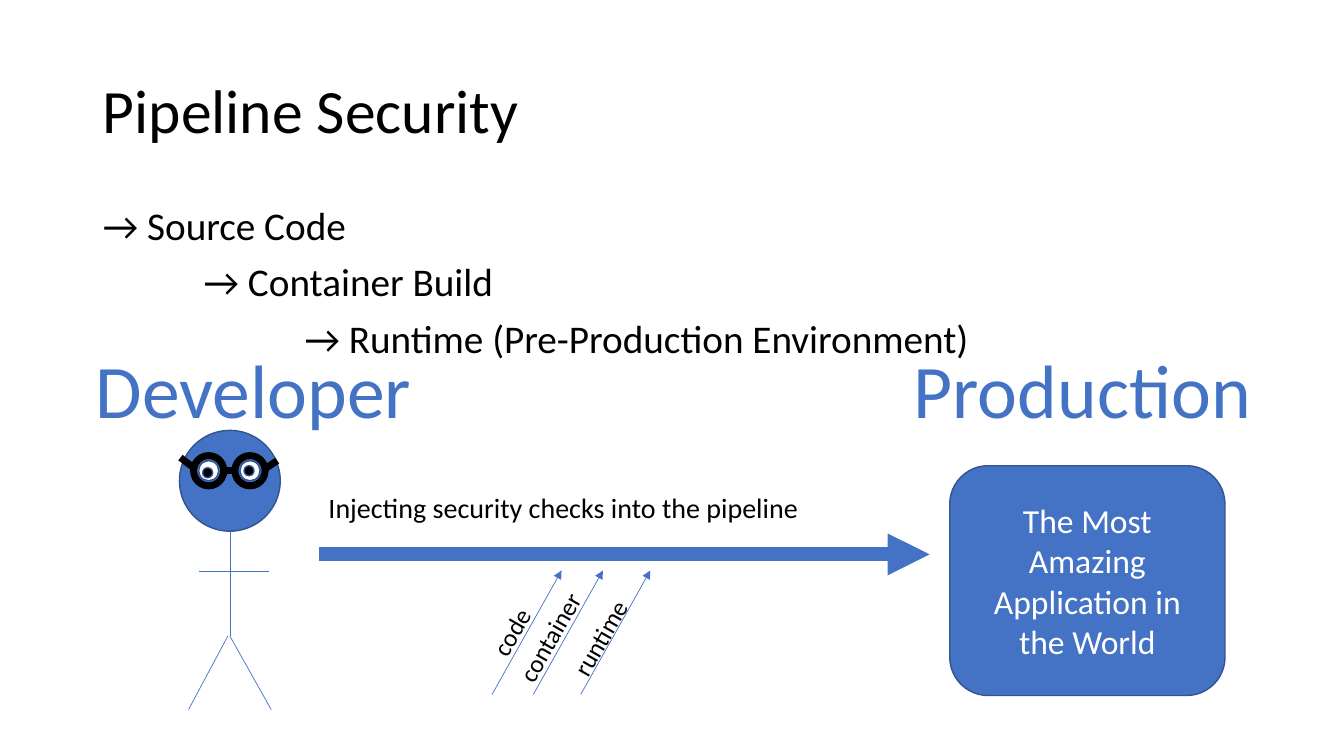
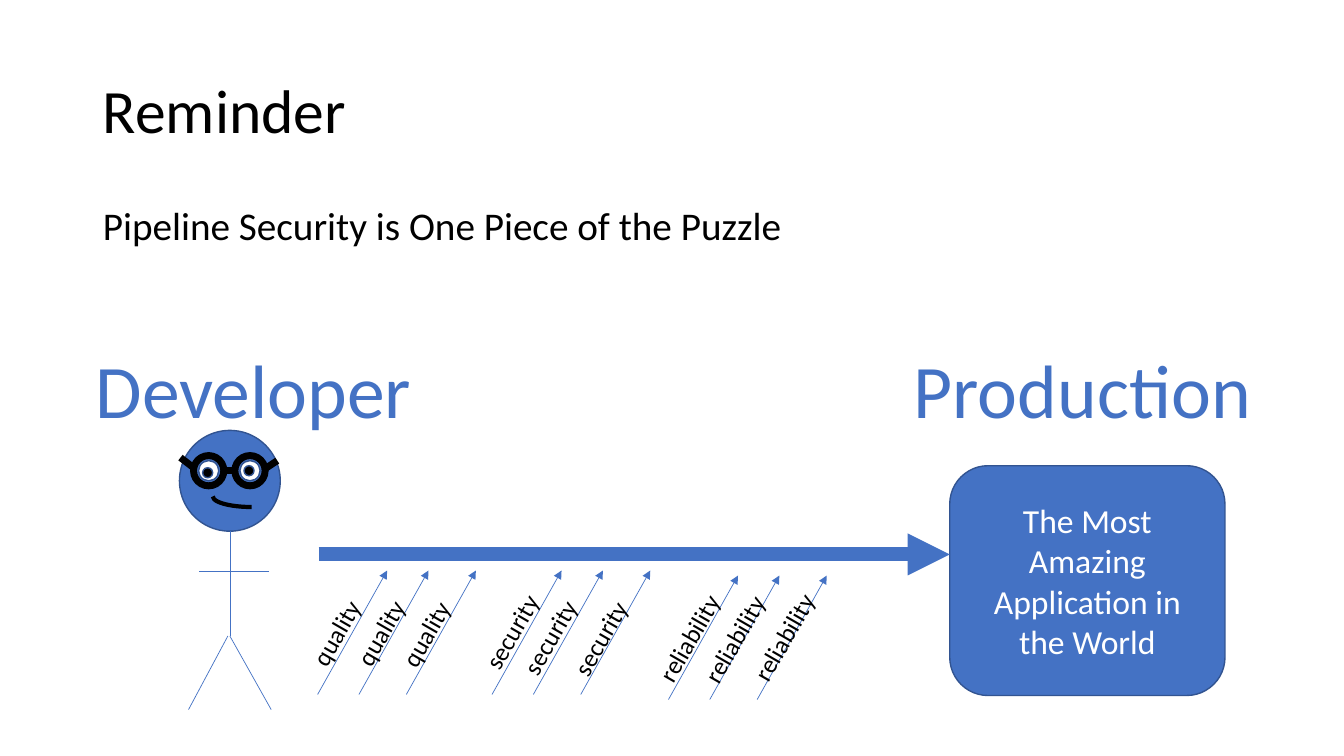
from lxml import etree
from pptx import Presentation
from pptx.dml.color import RGBColor
from pptx.enum.shapes import MSO_CONNECTOR as Connector, MSO_SHAPE as Preset
from pptx.enum.text import MSO_ANCHOR as Anchor, MSO_AUTO_SIZE as AutoSize, PP_ALIGN as Align
from pptx.oxml.ns import qn
from pptx.util import Inches, Pt

BLUE = RGBColor(0x44, 0x72, 0xC4)
OUTLINE = RGBColor(0x32, 0x54, 0x91)
BLACK = RGBColor(0, 0, 0)
WHITE = RGBColor(0xFF, 0xFF, 0xFF)
FONT = "Calibri"

TITLE_BOX = (0.92, 0.4, 11.5, 1.45)
BODY_BOX = (0.92, 2, 11.5, 4.76)
DEVELOPER_LABEL = (0.83, 3.35, 3.37, 1.01)
PRODUCTION_LABEL = (8.94, 3.35, 3.59, 1.01)
HEAD_BOX = (1.78, 4.27, 1, 1)
APPLICATION_BOX = (9.42, 4.62, 2.73, 2.28)
CAPTION_BOX = (3.16, 4.82, 5.54, 0.44)
PIPE_LEFT, PIPE_TOP = 3.16, 5.5
CHECK_OFFSETS = (0, 0.41, 0.88)
CHECK_RUN, CHECK_RISE = 0.69, 1.23
CHECK_LABEL_SIZE = (1.2, 0.4)


def place(item, box):
    item.left, item.top, item.width, item.height = map(Inches, box)


def style_text(frame, size, color, align=Align.LEFT):
    for para in frame.paragraphs:
        para.alignment = align
        for span in para.runs:
            span.font.name = FONT
            span.font.size = Pt(size)
            span.font.color.rgb = color


def add_label(shapes, box, text, size, color, align=Align.CENTER, wrap=False):
    label = shapes.add_textbox(*map(Inches, box))
    label.text_frame.word_wrap = wrap
    label.text_frame.text = text
    style_text(label.text_frame, size, color, align)
    return label


def add_preset(shapes, preset, box, fill, line, weight):
    shape = shapes.add_shape(preset, *map(Inches, box))
    shape.shadow.inherit = False
    if fill is None:
        shape.fill.background()
    else:
        shape.fill.solid()
        shape.fill.fore_color.rgb = fill
    shape.line.color.rgb = line
    shape.line.width = Pt(weight)
    return shape


def add_line(shapes, start, end, color=BLUE, weight=0.5, arrow=False):
    line = shapes.add_connector(Connector.STRAIGHT, *map(Inches, (*start, *end)))
    line.line.color.rgb = color
    line.line.width = Pt(weight)
    if arrow:
        etree.SubElement(line.line._get_or_add_ln(), qn("a:tailEnd"), type="triangle")
    etree.SubElement(line._element.spPr, qn("a:effectLst"))


def add_heading(page, title, items):
    heading, body = page.shapes.title, page.placeholders[1]
    heading.text_frame.text = title
    heading.text_frame.vertical_anchor = Anchor.MIDDLE
    heading.text_frame.paragraphs[0].line_spacing = 0.9
    style_text(heading.text_frame, 44, BLACK)

    frame = body.text_frame
    frame.text = "\n".join(items)
    frame.auto_size = AutoSize.NONE
    for step, para in enumerate(frame.paragraphs):
        properties = para._p.get_or_add_pPr()
        properties.set("marL", str(Inches(step)))
        properties.set("indent", "0")
        etree.SubElement(properties, qn("a:buNone"))
        para.line_spacing = 0.9
        para.space_before = Pt(10 if step else 0)
    style_text(frame, 28, BLACK)


def add_developer(page, box, smiling):
    left, top, unit, _ = box
    shapes = page.shapes.add_group_shape().shapes

    def spot(x, y):
        return left + x * unit, top + y * unit

    def part(x, y, width, height):
        return (*spot(x, y), width * unit, height * unit)

    add_preset(shapes, Preset.OVAL, box, BLUE, OUTLINE, 1)
    limbs = (
        ((0.5, 1), (0.5, 2.04)),
        ((0.5, 2.04), (0.91, 2.77)),
        ((0.48, 2.04), (0.09, 2.77)),
        ((0.89, 1.4), (0.19, 1.4)),
    )
    for start, end in limbs:
        add_line(shapes, spot(*start), spot(*end))
    for lens, pupil_x, pupil_y in ((0.14, 0.23, 0.37), (0.55, 0.64, 0.35)):
        add_preset(shapes, Preset.OVAL, part(lens + 0.05, 0.3, 0.2, 0.2), WHITE, OUTLINE, 1)
        add_preset(shapes, Preset.OVAL, part(lens, 0.25, 0.3, 0.3), None, BLACK, 5)
        add_preset(shapes, Preset.OVAL, part(pupil_x, pupil_y, 0.1, 0.1), BLACK, OUTLINE, 1)
    frames = (
        ((0.44, 0.4), (0.55, 0.4)),
        ((0.85, 0.38), (0.97, 0.3)),
        ((0.01, 0.27), (0.14, 0.37)),
    )
    for start, end in frames:
        add_line(shapes, spot(*start), spot(*end), BLACK, 5)
    if smiling:
        mouth = add_preset(shapes, Preset.ARC, part(0.33, 0.55, 0.77, 0.21), None, BLACK, 3)
        mouth.rotation = 180


def add_application(page, box):
    application = add_preset(page.shapes, Preset.ROUNDED_RECTANGLE, box, BLUE, OUTLINE, 1)
    frame = application.text_frame
    frame.word_wrap = True
    frame.vertical_anchor = Anchor.MIDDLE
    frame.text = "The Most Amazing Application in the World"
    style_text(frame, 24, WHITE, Align.CENTER)


def add_checks(page, left, bottom, labels, centers):
    width, height = CHECK_LABEL_SIZE
    for offset, text, (shift, lift) in zip(CHECK_OFFSETS, labels, centers):
        foot = left + offset
        add_line(page.shapes, (foot, bottom), (foot + CHECK_RUN, bottom - CHECK_RISE), arrow=True)
        box = (foot + shift - width / 2, bottom - lift - height / 2, width, height)
        add_label(page.shapes, box, text, 18, BLACK).rotation = 300


def add_pipeline_slide(deck, title, items, pipe_right, checks, smiling=False, caption=None):
    page = deck.slides.add_slide(deck.slide_layouts[1])
    add_heading(page, title, items)
    add_developer(page, HEAD_BOX, smiling)
    add_label(page.shapes, DEVELOPER_LABEL, "Developer", 54, BLUE)
    add_application(page, APPLICATION_BOX)
    add_label(page.shapes, PRODUCTION_LABEL, "Production", 54, BLUE)
    add_line(page.shapes, (PIPE_LEFT, PIPE_TOP), (pipe_right, PIPE_TOP), weight=10, arrow=True)
    if caption:
        add_label(page.shapes, CAPTION_BOX, caption, 20, BLACK, Align.LEFT, wrap=True)
    for group in checks:
        add_checks(page, *group)


def main():
    deck = Presentation()
    deck.slide_width, deck.slide_height = Inches(13.33), Inches(7.5)
    for holder, box in zip(deck.slide_layouts[1].placeholders, (TITLE_BOX, BODY_BOX)):
        place(holder, box)

    middle = ((0.19, 0.62), (0.16, 0.57), (0.19, 0.56))
    add_pipeline_slide(
        deck,
        "Pipeline Security",
        ("→ Source Code", "→ Container Build", "→ Runtime (Pre-Production Environment)"),
        9.22,
        ((4.88, 6.89, ("code", "container", "runtime"), middle),),
        caption="Injecting security checks into the pipeline",
    )
    add_pipeline_slide(
        deck,
        "Reminder",
        ("Pipeline Security is One Piece of the Puzzle",),
        9.42,
        (
            (3.15, 6.89, ("quality",) * 3, ((0.18, 0.61), (0.21, 0.61), (0.19, 0.6))),
            (4.88, 6.89, ("security",) * 3, middle),
            (6.63, 6.94, ("reliability",) * 3, ((0.2, 0.61), (0.24, 0.6), (0.26, 0.62))),
        ),
        smiling=True,
    )
    deck.save("out.pptx")


if __name__ == "__main__":
    main()
